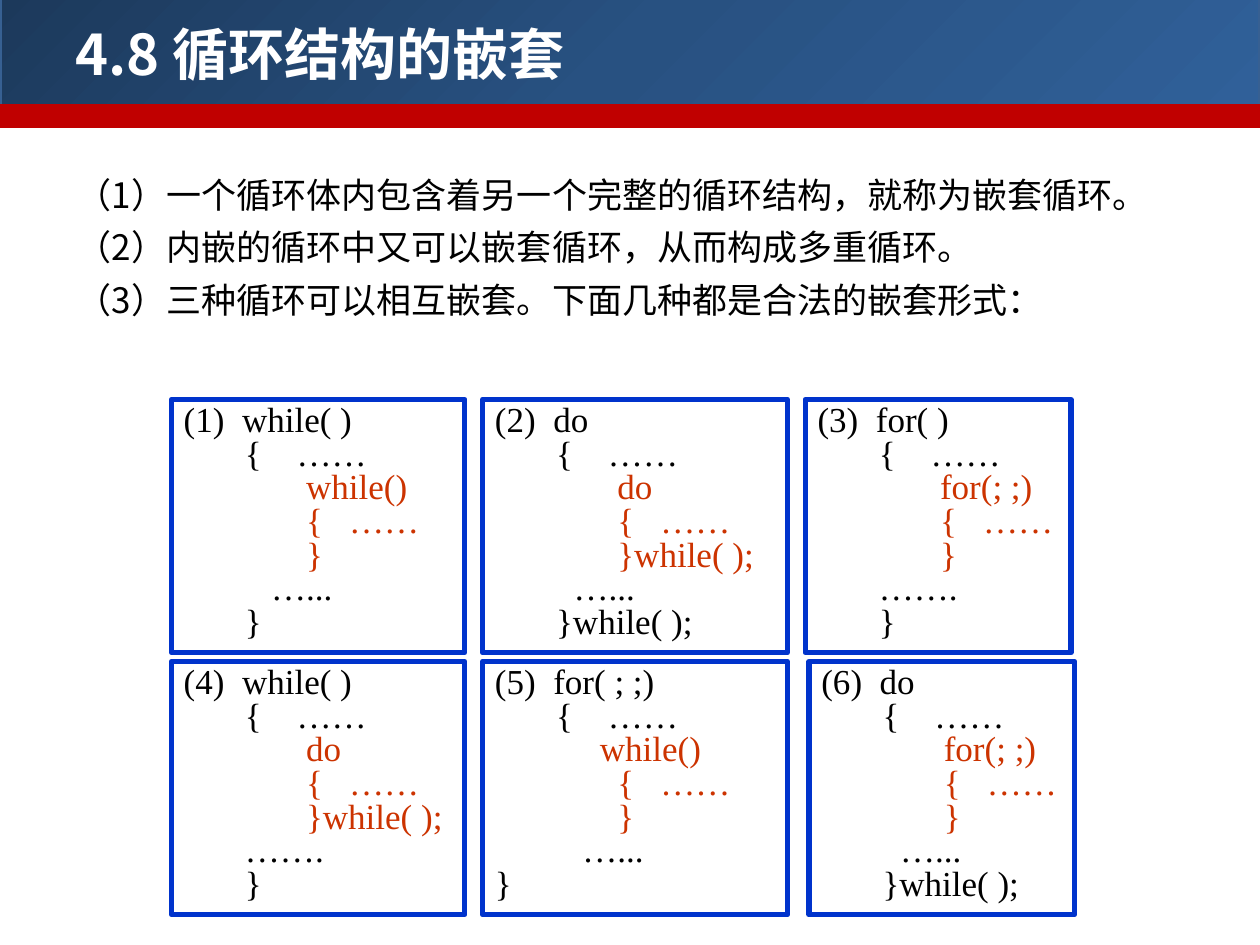
from copy import deepcopy
from dataclasses import dataclass

from lxml import etree
from pptx import Presentation
from pptx.dml.color import RGBColor
from pptx.enum.shapes import MSO_SHAPE
from pptx.enum.text import MSO_ANCHOR, PP_ALIGN
from pptx.oxml.ns import qn
from pptx.util import Inches, Pt

RECT = MSO_SHAPE.RECTANGLE
TOP, MIDDLE = MSO_ANCHOR.TOP, MSO_ANCHOR.MIDDLE
LEFT = PP_ALIGN.LEFT


@dataclass(frozen=True)
class Theme:
    heading_font: str = "Noto Sans CJK SC"
    code_font: str = "Times New Roman"
    title_size: int = 32
    text_size: int = 20
    white: str = "FFFFFF"
    black: str = "000000"
    banner: tuple = ("1C395B", "285181", "306099")
    banner_line: str = "376092"
    band: str = "C00000"
    box_line: str = "0033CC"
    inner_loop: str = "CC3300"


@dataclass(frozen=True)
class Nest:
    """One legal nesting: an outer loop holding an inner loop."""
    left: float
    top: float
    width: float
    outer: str
    inner: str
    inner_end: str
    rest: str
    outer_end: str

    def lines(self) -> list[str]:
        pad = " " * 14
        return [self.outer, "       {    ……", self.inner, pad + "{   ……",
                pad + self.inner_end, self.rest, self.outer_end]


THEME = Theme()
BOX_HEIGHT = 2.01
ROW_1, ROW_2 = 3.17, 5.25
INNER_LINES = range(2, 5)

TITLE = "4.8 循环结构的嵌套"
POINTS = [
    "（1）一个循环体内包含着另一个完整的循环结构，就称为嵌套循环。",
    "（2）内嵌的循环中又可以嵌套循环，从而构成多重循环。",
    "（3）三种循环可以相互嵌套。下面几种都是合法的嵌套形式：",
]
NESTS = [
    Nest(1.36, ROW_1, 2.33, "(1)  while( )", "              while()", "}",
         "          …...", "       }"),
    Nest(3.83, ROW_1, 2.42, "(2)  do", "              do", "}while( );",
         "         …...", "       }while( );"),
    Nest(6.39, ROW_1, 2.11, "(3)  for( )", "              for(; ;)", "}",
         "       …….", "       }"),
    Nest(1.36, ROW_2, 2.33, "(4)  while( )", "              do", "}while( );",
         "       …….", "       }"),
    Nest(3.83, ROW_2, 2.42, "(5)  for( ; ;)", "            while()", "}",
         "          …...", "}"),
    Nest(6.42, ROW_2, 2.11, "(6)  do", "              for(; ;)", "}",
         "         …...", "       }while( );"),
]


def add_rect(slide, left: float, top: float, width: float, height: float,
             fill: str, line: str, line_width: float):
    s = slide.shapes.add_shape(RECT, Inches(left), Inches(top),
                               Inches(width), Inches(height))
    s.shadow.inherit = False
    s.fill.solid()
    s.fill.fore_color.rgb = RGBColor.from_string(fill)
    s.line.color.rgb = RGBColor.from_string(line)
    s.line.width = Pt(line_width)
    return s


def place(s, left: float, top: float, width: float, height: float) -> None:
    s.left, s.top = Inches(left), Inches(top)
    s.width, s.height = Inches(width), Inches(height)


def style_run(r, font: str, size: int, color: str, bold: bool = False) -> None:
    r.font.name = font
    r.font.size = Pt(size)
    r.font.bold = bold
    r.font.color.rgb = RGBColor.from_string(color)
    ea = etree.SubElement(r.font._element, qn("a:ea"))
    ea.set("typeface", font)


def fill_gradient(s, colors: tuple) -> None:
    s.fill.gradient()
    s.fill.gradient_angle = 315
    first = s.fill.gradient_stops[0]._gs
    first.addnext(deepcopy(first))
    last = len(colors) - 1
    for i, (stop, color) in enumerate(zip(s.fill.gradient_stops, colors)):
        stop.color.rgb = RGBColor.from_string(color)
        stop.position = i / last


def add_header(slide) -> None:
    banner = add_rect(slide, 0, -0.05, 10, 0.9, THEME.white, THEME.banner_line, 2)
    fill_gradient(banner, THEME.banner)
    band = add_rect(slide, 0, 0.84, 10, 0.16, THEME.band, THEME.band, 2)
    # Behind the placeholders
    for i, s in enumerate((banner, band)):
        slide.shapes._spTree.insert(2 + i, s._element)


def add_title(slide) -> None:
    title = slide.shapes.title
    place(title, 0.5, 0.13, 9.22, 0.59)
    tf = title.text_frame
    tf.text = TITLE
    tf.vertical_anchor = MIDDLE
    p = tf.paragraphs[0]
    p.alignment = LEFT
    style_run(p.runs[0], THEME.heading_font, THEME.title_size, THEME.white, True)


def add_points(slide) -> None:
    body = slide.placeholders[1]
    place(body, 0.51, 1.24, 9.08, 1.42)
    tf = body.text_frame
    tf.text = "\n".join(POINTS)
    tf.vertical_anchor = TOP
    for p in tf.paragraphs:
        pPr = p._p.get_or_add_pPr()
        pPr.set("marL", str(Inches(0.38)))
        pPr.set("indent", str(Inches(-0.38)))
        etree.SubElement(pPr, qn("a:buNone"))
        p.line_spacing = 1.25
        p.space_before = Pt(0)
        style_run(p.runs[0], THEME.heading_font, THEME.text_size, THEME.black)


def add_nest(slide, nest: Nest) -> None:
    s = add_rect(slide, nest.left, nest.top, nest.width, BOX_HEIGHT,
                 THEME.white, THEME.box_line, 3)
    tf = s.text_frame
    tf.word_wrap = True
    tf.vertical_anchor = TOP
    tf.text = "\n".join(nest.lines())
    for i, p in enumerate(tf.paragraphs):
        p.alignment = LEFT
        p.line_spacing = 0.8
        color = THEME.inner_loop if i in INNER_LINES else THEME.black
        style_run(p.runs[0], THEME.code_font, THEME.text_size, color)


def main() -> None:
    prs = Presentation()
    prs.slide_width, prs.slide_height = Inches(10), Inches(7.5)
    slide = prs.slides.add_slide(prs.slide_layouts[1])

    # Header and text
    add_header(slide)
    add_title(slide)
    add_points(slide)

    # Code boxes
    for nest in NESTS:
        add_nest(slide, nest)

    prs.save("out.pptx")


if __name__ == "__main__":
    main()
